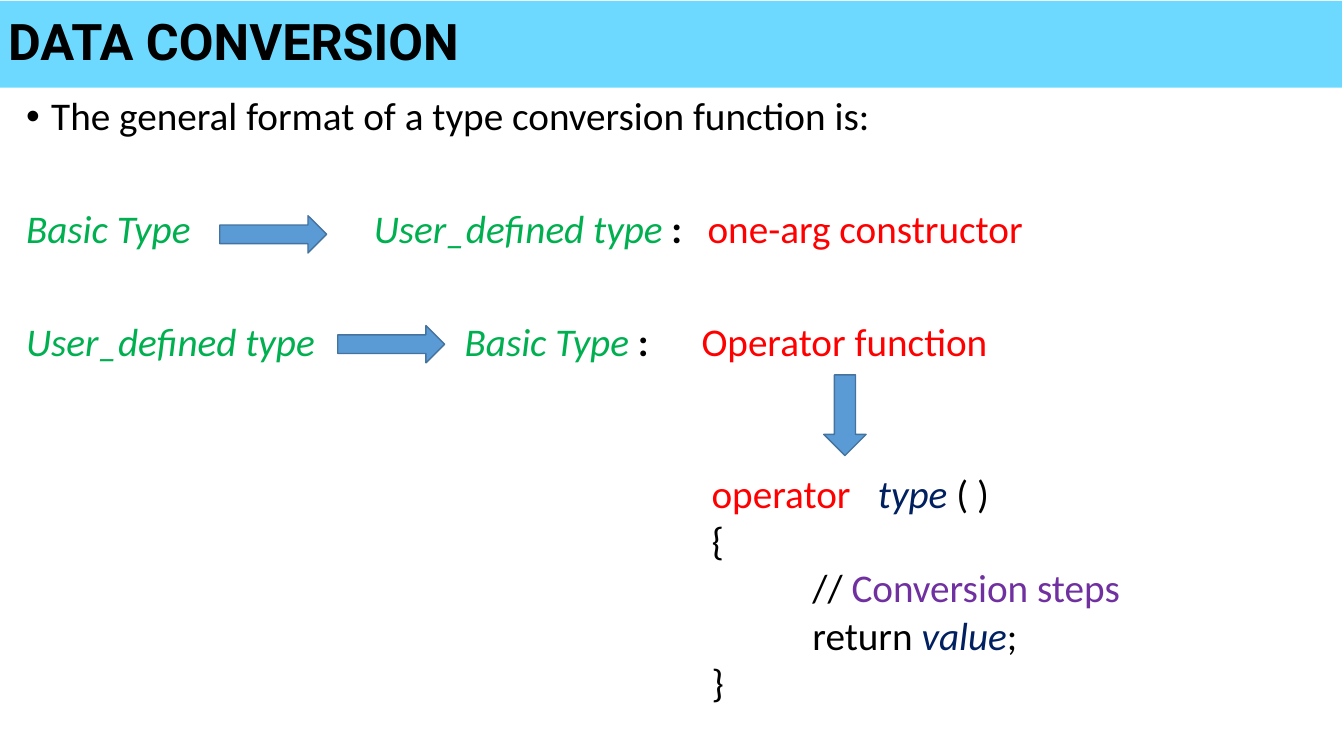
"""Build the slide on type conversion functions."""
from lxml import etree
from pptx import Presentation
from pptx.dml.color import RGBColor
from pptx.enum.shapes import MSO_SHAPE
from pptx.enum.text import MSO_ANCHOR, MSO_AUTO_SIZE, PP_ALIGN
from pptx.oxml.ns import qn
from pptx.util import Inches, Pt

BLACK = RGBColor(0x00, 0x00, 0x00)
CYAN = RGBColor(0x6D, 0xD9, 0xFF)
GREEN = RGBColor(0x00, 0xB0, 0x50)
RED = RGBColor(0xFF, 0x00, 0x00)
NAVY = RGBColor(0x00, 0x20, 0x60)
PURPLE = RGBColor(0x70, 0x30, 0xA0)
BLUE = RGBColor(0x5B, 0x9B, 0xD5)
EDGE = RGBColor(0x43, 0x73, 0x9E)
RIGHT, DOWN = MSO_SHAPE.RIGHT_ARROW, MSO_SHAPE.DOWN_ARROW
LEFT, MIDDLE, NO_FIT = PP_ALIGN.LEFT, MSO_ANCHOR.MIDDLE, MSO_AUTO_SIZE.NONE


def write(para, text, color=BLACK, size=28, face="Calibri", bold=False, italic=False):
    run = para.add_run()
    run.text = text
    font = run.font
    font.name, font.size, font.color.rgb = face, Pt(size), color
    font.bold, font.italic = bold, italic


def indent(para, left, hang=0, bullet=None):
    props = para._p.get_or_add_pPr()
    props.set("marL", str(Inches(left)))
    props.set("indent", str(Inches(hang)))
    if bullet:
        etree.SubElement(props, qn("a:buFont"), typeface="Arial")
        etree.SubElement(props, qn("a:buChar"), char=bullet)


deck = Presentation()
deck.slide_width, deck.slide_height = Inches(13.33), Inches(7.5)
slide = deck.slides.add_slide(deck.slide_layouts[5])

title = slide.shapes.title
title.left, title.top = Inches(-0.02), Inches(0.01)
title.width, title.height = Inches(13.33), Inches(0.86)
title.fill.solid()
title.fill.fore_color.rgb = CYAN
frame = title.text_frame
frame.auto_size, frame.vertical_anchor = NO_FIT, MIDDLE
head = frame.paragraphs[0]
head.alignment, head.line_spacing = LEFT, 0.9
write(head, "DATA CONVERSION", size=36, face="Roboto", bold=True)

KIND = dict(color=GREEN, italic=True)
COLON = (":", dict(bold=True))
rows = [
    [(0.16, 12.11, [("The general format of a type conversion function is:", {})])],
    [(0.16, 2, [("Basic Type", KIND)]),
     (3.61, 3.31, [("User_defined type ", KIND), COLON]),
     (6.92, 3.5, [("one-arg constructor", dict(color=RED))])],
    [(0.16, 3.15, [("User_defined type", KIND)]),
     (4.51, 2.3, [("Basic Type ", KIND), COLON]),
     (6.86, 3.5, [("Operator function", dict(color=RED))])],
]
for row, parts in enumerate(rows):
    top = 0.91 + 1.12 * row
    for left, width, runs in parts:
        place = map(Inches, (left, top, width, 0.55))
        frame = slide.shapes.add_textbox(*place).text_frame
        frame.word_wrap = True
        para = frame.paragraphs[0]
        if row == 0:
            indent(para, 0.25, -0.25, "•")
        para.line_spacing = 0.9
        for text, style in runs:
            write(para, text, **style)

TERM = dict(color=NAVY, italic=True)
code = [
    (0, [("operator\t", dict(color=RED)), ("type ", TERM), ("( )", {})]),
    (0, [("{", {})]),
    (1, [("// ", {}), ("Conversion steps", dict(color=PURPLE))]),
    (1, [("return ", {}), ("value", TERM), (";", {})]),
    (0, [("}", {})]),
]
place = map(Inches, (6.96, 4.61, 4.46, 2.46))
frame = slide.shapes.add_textbox(*place).text_frame
frame.word_wrap = True
for line, (step, runs) in enumerate(code):
    para = frame.add_paragraph() if line else frame.paragraphs[0]
    if step:
        indent(para, step)
    for text, style in runs:
        write(para, text, **style)
stops = etree.SubElement(frame.paragraphs[0]._p.get_or_add_pPr(), qn("a:tabLst"))
etree.SubElement(stops, qn("a:tab"), pos=str(Inches(1.65)), algn="l")

arrows = [
    (RIGHT, 2.18, 2.14, 1.06, 0.37),
    (RIGHT, 3.35, 3.23, 1.06, 0.37),
    (DOWN, 8.17, 3.72, 0.42, 0.8),
]
for kind, *place in arrows:
    arrow = slide.shapes.add_shape(kind, *map(Inches, place))
    arrow.shadow.inherit = False
    arrow.fill.solid()
    arrow.fill.fore_color.rgb = BLUE
    arrow.line.color.rgb = EDGE
    arrow.line.width = Pt(1)

deck.save("out.pptx")
